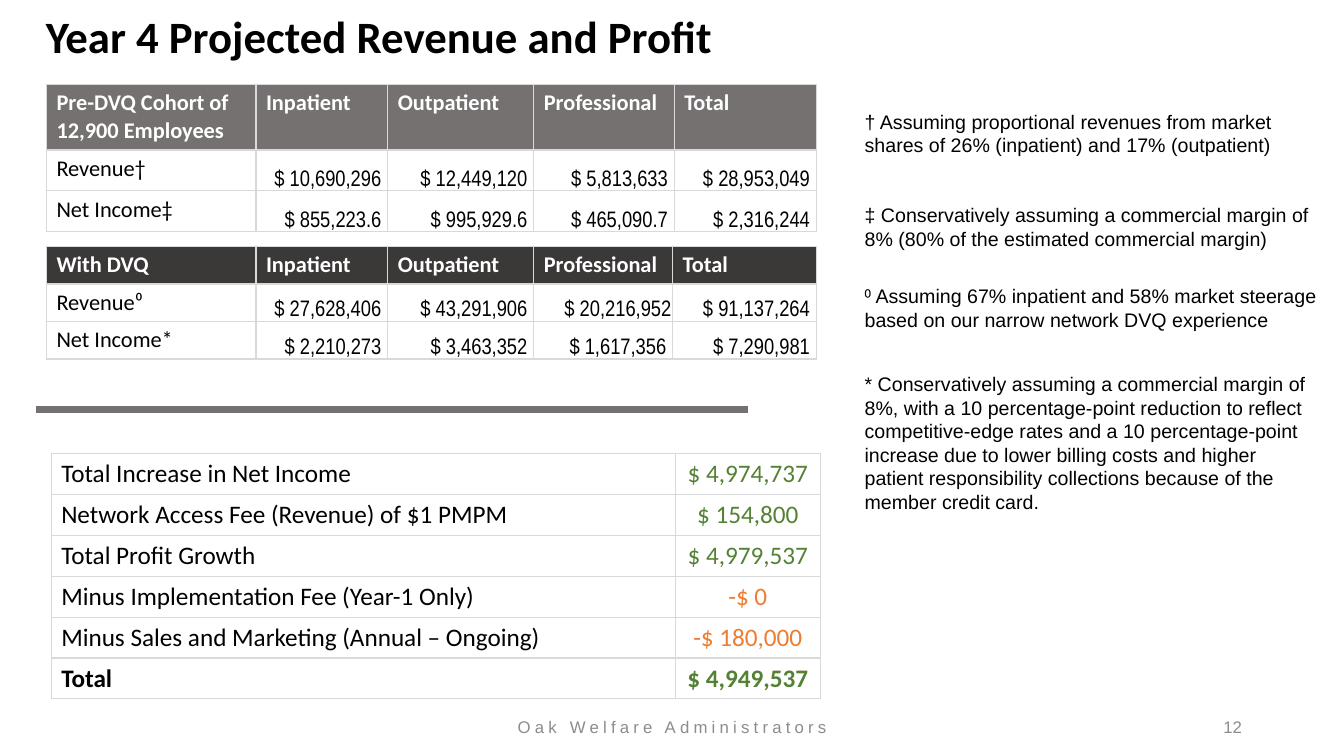
from pptx import Presentation, util as u
from pptx.dml.color import RGBColor
from pptx.enum import shapes, text
from pptx.oxml import parse_xml
from pptx.oxml.ns import nsdecls

Cm, Pt = u.Cm, u.Pt
BLACK = RGBColor(0x00, 0x00, 0x00)
WHITE = RGBColor(0xFF, 0xFF, 0xFF)
GRAY = RGBColor(0x76, 0x71, 0x71)
DARK = RGBColor(0x3B, 0x38, 0x38)
PALE = RGBColor(0x8C, 0x8C, 0x8C)
EDGE = RGBColor(0xD9, 0xD9, 0xD9)
GREEN = RGBColor(0x54, 0x82, 0x35)
ORANGE = RGBColor(0xED, 0x7D, 0x31)
LEFT, MID, RIGHT = text.PP_ALIGN.LEFT, text.PP_ALIGN.CENTER, text.PP_ALIGN.RIGHT


def write(frame, words, size, name="Arial", color=BLACK, bold=False, align=LEFT):
    frame.text = words
    para = frame.paragraphs[0]
    para.alignment = align
    font = para.runs[0].font
    form = {"size": Pt(size), "name": name, "bold": bold}
    for key, val in form.items():
        setattr(font, key, val)
    font.color.rgb = color


def add_grid(left, top, widths, heights):
    """Add a plain table with thin pale borders and no fill."""
    grid = slide.shapes.add_table(
        len(heights), len(widths), Cm(left), Cm(top),
        Cm(sum(widths)), Cm(sum(heights))).table
    grid.first_row = grid.horz_banding = False
    for col, width in zip(grid.columns, widths):
        col.width = Cm(width)
    for row, height in zip(grid.rows, heights):
        row.height = Cm(height)
    for cell in grid.iter_cells():
        cell.fill.background()
        props = cell._tc.get_or_add_tcPr()
        for i, side in enumerate("LRTB"):
            props.insert(i, parse_xml(
                f'<a:ln{side} {nsdecls("a")} w="12700"><a:solidFill>'
                f'<a:srgbClr val="{EDGE}"/></a:solidFill></a:ln{side}>'))
    return grid


deck = Presentation()
deck.slide_width, deck.slide_height = Cm(33.87), Cm(19.05)
slide = deck.slides.add_slide(deck.slide_layouts[5])

title = slide.shapes.title
place = {"left": 0.9, "top": 0.1, "width": 17.48, "height": 1.62}
for key, val in place.items():
    setattr(title, key, Cm(val))
frame = title.text_frame
frame.word_wrap = False
frame.auto_size = text.MSO_AUTO_SIZE.NONE
frame.vertical_anchor = text.MSO_ANCHOR.TOP
write(frame, "Year 4 Projected Revenue and Profit", 32, "Calibri", bold=True)

# Cohort tables: top, fill, column widths, row heights, rows
heads = ["Inpatient", "Outpatient", "Professional", "Total"]
cohorts = [
    (2.13, GRAY, [5.28, 3.32, 3.68, 3.54, 3.58], [1.65, 1.03, 1.03], [
        ["Pre-DVQ Cohort of 12,900 Employees", *heads],
        ["Revenue†", "$ 10,690,296 ", "$ 12,449,120 ", "$ 5,813,633 ", "$ 28,953,049 "],
        ["Net Income‡", "$ 855,223.6 ", "$ 995,929.6 ", "$ 465,090.7 ", "$ 2,316,244 "]]),
    (6.21, DARK, [5.28, 3.32, 3.68, 3.5, 3.62], [0.94, 0.94, 0.94], [
        ["With DVQ", *heads],
        ["Revenue⁰", "$ 27,628,406 ", "$ 43,291,906 ", "$ 20,216,952", "$ 91,137,264 "],
        ["Net Income*", "$ 2,210,273 ", "$ 3,463,352 ", "$ 1,617,356 ", "$ 7,290,981 "]]),
]
tight = {"margin_left": Cm(0.03), "margin_right": Cm(0.03), "margin_top": Cm(0.03),
         "margin_bottom": 0, "vertical_anchor": text.MSO_ANCHOR.BOTTOM}
for top, fill, widths, heights, rows in cohorts:
    grid = add_grid(1.17, top, widths, heights)
    for r, row in enumerate(rows):
        for c, words in enumerate(row):
            cell = grid.cell(r, c)
            if r == 0:
                cell.fill.solid()
                cell.fill.fore_color.rgb = fill
                write(cell.text_frame, words, 16, "Calibri", WHITE, True)
            elif c == 0:
                write(cell.text_frame, words, 16, "Calibri")
            else:
                for key, val in tight.items():
                    setattr(cell, key, val)
                write(cell.text_frame, words, 16, "Arial Narrow", align=RIGHT)

rule = slide.shapes.add_connector(
    shapes.MSO_CONNECTOR.STRAIGHT, Cm(0.9), Cm(10.32), Cm(18.85), Cm(10.32))
rule.line.color.rgb = GRAY
rule.line.width = Pt(4.5)
rule._element.spPr.append(parse_xml(f'<a:effectLst {nsdecls("a")}/>'))

profit = [
    ("Total Increase in Net Income", "$ 4,974,737"),
    ("Network Access Fee (Revenue) of $1 PMPM", "$ 154,800"),
    ("Total Profit Growth", "$ 4,979,537"),
    ("Minus Implementation Fee (Year-1 Only)", "-$ 0"),
    ("Minus Sales and Marketing (Annual – Ongoing)", "-$ 180,000"),
    ("Total", "$ 4,949,537"),
]
grid = add_grid(1.29, 11.43, [15.73, 3.65], [1.03] * len(profit))
for r, (label, value) in enumerate(profit):
    bold = label == "Total"
    color = ORANGE if value.startswith("-") else GREEN
    write(grid.cell(r, 0).text_frame, label, 18, "Calibri", bold=bold)
    write(grid.cell(r, 1).text_frame, value, 18, "Calibri", color, bold, MID)

notes = [
    (2.64, 2.06, "† Assuming proportional revenues from market shares of 26% "
     "(inpatient) and 17% (outpatient)"),
    (5.0, 1.45, "‡ Conservatively assuming a commercial margin of 8% "
     "(80% of the estimated commercial margin)"),
    (7.04, 1.45, "⁰ Assuming 67% inpatient and 58% market steerage based on "
     "our narrow network DVQ experience"),
    (9.25, 3.84, "* Conservatively assuming a commercial margin of 8%, with a "
     "10 percentage-point reduction to reflect competitive-edge rates and a "
     "10 percentage-point increase due to lower billing costs and higher patient "
     "responsibility collections because of the member credit card."),
]
for top, height, words in notes:
    frame = slide.shapes.add_textbox(
        Cm(21.54), Cm(top), Cm(11.99), Cm(height)).text_frame
    frame.word_wrap = True
    write(frame, words, 14)

footer = [(11.23, 11.43, "Oak Welfare Administrators", MID, 300),
          (23.93, 7.62, "12", RIGHT, 0)]
for left, width, words, align, gap in footer:
    frame = slide.shapes.add_textbox(
        Cm(left), Cm(17.98), Cm(width), Cm(0.69)).text_frame
    frame.word_wrap = True
    frame.vertical_anchor = text.MSO_ANCHOR.MIDDLE
    write(frame, words, 12, color=PALE, align=align)
    frame.paragraphs[0].runs[0].font._element.set("spc", str(gap))

deck.save("out.pptx")
